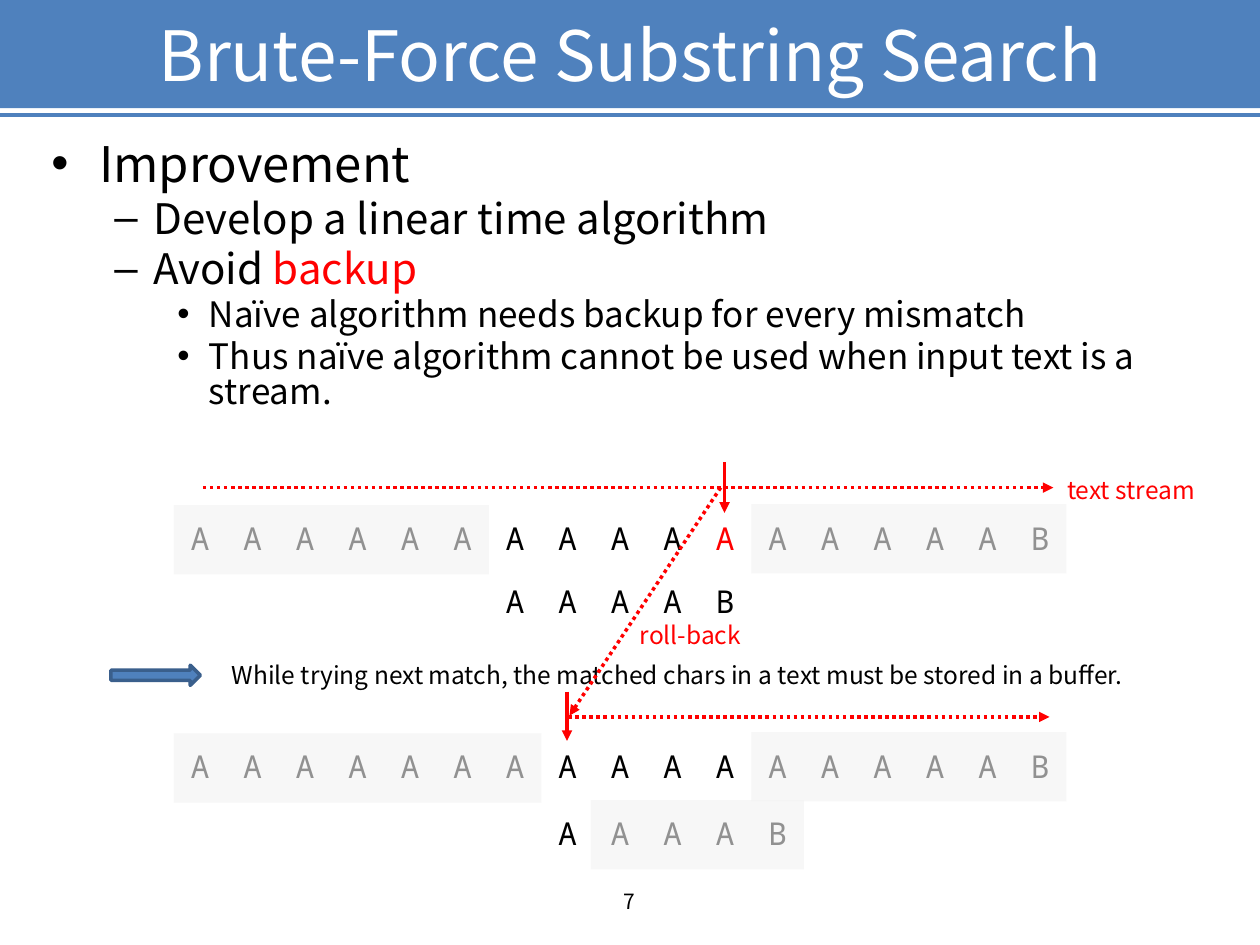
from lxml import etree
from pptx import Presentation
from pptx.dml.color import RGBColor
from pptx.enum.dml import MSO_LINE
from pptx.enum.shapes import MSO_CONNECTOR, MSO_SHAPE
from pptx.enum.text import MSO_ANCHOR, PP_ALIGN
from pptx.oxml.ns import qn
from pptx.util import Inches, Pt

BLUE = RGBColor(0x4F, 0x81, 0xBD)
DARK_BLUE = RGBColor(0x3A, 0x5F, 0x8C)
WHITE = RGBColor(0xFF, 0xFF, 0xFF)
BLACK = RGBColor(0, 0, 0)
RED = RGBColor(0xFF, 0, 0)
PALE_GRAY = RGBColor(0xF2, 0xF2, 0xF2)

SANS = "Noto Sans CJK KR"
MONO = "Noto Sans Mono"
CENTER, LEFT = PP_ALIGN.CENTER, PP_ALIGN.LEFT
TOP, MIDDLE = MSO_ANCHOR.TOP, MSO_ANCHOR.MIDDLE
DOTTED = MSO_LINE.ROUND_DOT
STRAIGHT = MSO_CONNECTOR.STRAIGHT
RECTANGLE, RIGHT_ARROW = MSO_SHAPE.RECTANGLE, MSO_SHAPE.RIGHT_ARROW

CELL_WIDTH = 2.5 / 6
CELL_HEIGHT = 0.38
SHADE_HEIGHT = 0.55
GRID_LEFT = 1.38
TEXT_STREAM = "A" * 16 + "B"
PATTERN = "AAAAB"

LEVELS = [
    (28, 0.38, 0.38, "•"),
    (24, 0.81, 0.31, "–"),
    (20, 1.25, 0.25, "•"),
]
BODY = [
    (0, [("Improvement", BLACK)]),
    (1, [("Develop a linear time algorithm", BLACK)]),
    (1, [("Avoid ", BLACK), ("backup", RED)]),
    (2, [("Naïve algorithm needs backup for every mismatch", BLACK)]),
    (2, [("Thus naïve algorithm cannot be used when input text is a stream.", BLACK)]),
]


def add_run(paragraph, text, size, color, font=SANS):
    run = paragraph.add_run()
    run.text = text
    run.font.size = Pt(size)
    run.font.color.rgb = color
    run.font.name = font
    properties = run.font._element
    for tag in ("a:ea", "a:cs"):
        etree.SubElement(properties, qn(tag), typeface=font)


def add_label(shapes, box, text, size, color, font=SANS, align=LEFT, anchor=TOP, wrap=True):
    label = shapes.add_textbox(*map(Inches, box))
    frame = label.text_frame
    frame.word_wrap = wrap
    frame.vertical_anchor = anchor
    paragraph = frame.paragraphs[0]
    paragraph.alignment = align
    add_run(paragraph, text, size, color, font)


def add_block(shapes, kind, box, fill, outline=None, opacity=None):
    block = shapes.add_shape(kind, *map(Inches, box))
    block.shadow.inherit = False
    block.fill.solid()
    block.fill.fore_color.rgb = fill
    if outline:
        block.line.color.rgb = outline
        block.line.width = Pt(2)
    else:
        block.line.fill.background()
    if opacity:
        tint = block._element.spPr.find(qn("a:solidFill"))[0]
        etree.SubElement(tint, qn("a:alpha"), val=str(opacity * 1000))


def add_line(shapes, start, end, color, width, dash=None, arrow=False):
    line = shapes.add_connector(STRAIGHT, *map(Inches, (*start, *end)))
    line.line.color.rgb = color
    line.line.width = Pt(width)
    if dash:
        line.line.dash_style = dash
    if arrow:
        etree.SubElement(line.line._get_or_add_ln(), qn("a:tailEnd"), type="triangle")
    etree.SubElement(line._element.spPr, qn("a:effectLst"))


def add_red_arrow(shapes, start, end, dash=None):
    add_line(shapes, start, end, RED, 2, dash, arrow=True)


def add_header(slide, left, top, width, height):
    add_block(slide.shapes, RECTANGLE, (left, top, width, height), BLUE)
    rule = top + height + 0.05
    add_line(slide.shapes, (left, rule), (left + width, rule), BLUE, 2.25)
    title_box = (left + 0.31, top + 0.08, width - 0.62, height - 0.16)
    add_label(slide.shapes, title_box, "Brute-Force Substring Search", 39.6, WHITE,
              align=CENTER, anchor=MIDDLE)


def add_body(slide, left, top, width, height):
    frame = slide.shapes.add_textbox(*map(Inches, (left, top, width, height))).text_frame
    frame.word_wrap = True
    for index, (level, runs) in enumerate(BODY):
        paragraph = frame.add_paragraph() if index else frame.paragraphs[0]
        size, margin, hanging, bullet = LEVELS[level]
        paragraph.level = level
        paragraph.line_spacing = 0.83
        paragraph.space_before = Pt(size * 0.2)
        properties = paragraph._p.get_or_add_pPr()
        properties.set("marL", str(Inches(margin)))
        properties.set("indent", str(-Inches(hanging)))
        etree.SubElement(properties, qn("a:buFont"), typeface="Arial")
        etree.SubElement(properties, qn("a:buChar"), char=bullet)
        for text, color in runs:
            add_run(paragraph, text, size, color)


def add_letters(shapes, letters, top, first=0, mismatch=None):
    for column, letter in enumerate(letters, first):
        box = (GRID_LEFT + column * CELL_WIDTH, top, CELL_WIDTH, CELL_HEIGHT)
        color = RED if column == mismatch else BLACK
        add_label(shapes, box, letter, 18, color, MONO, CENTER)


def add_shade(shapes, left, top, width):
    add_block(shapes, RECTANGLE, (left, top, width, SHADE_HEIGHT), PALE_GRAY, opacity=60)


def add_match(slide, top, pattern_top, shift, passed, mismatch=None):
    shapes = slide.shapes.add_group_shape().shapes
    add_letters(shapes, TEXT_STREAM, top, mismatch=mismatch)
    add_letters(shapes, PATTERN, pattern_top, shift)
    add_shade(shapes, GRID_LEFT, top - 0.06, passed * CELL_WIDTH)
    add_shade(shapes, GRID_LEFT + 11 * CELL_WIDTH, top - 0.07, 6 * CELL_WIDTH)


def add_note(slide, left, top):
    add_block(slide.shapes, RIGHT_ARROW, (left, top + 0.09, 0.71, 0.16), BLUE, DARK_BLUE)
    add_label(slide.shapes, (left + 0.86, top, 7.64, 0.34),
              "While trying next match, the matched chars in a text must be stored in a buffer.",
              14, BLACK, wrap=False)


def add_stream_arrows(slide):
    shapes = slide.shapes
    add_red_arrow(shapes, (5.75, 3.67), (5.75, 4.07))
    add_red_arrow(shapes, (4.5, 5.49), (4.5, 5.88))
    add_red_arrow(shapes, (5.72, 3.87), (4.52, 5.68), DOTTED)
    add_red_arrow(shapes, (1.61, 3.87), (8.36, 3.87), DOTTED)
    add_red_arrow(shapes, (4.51, 5.69), (8.33, 5.69), DOTTED)
    add_label(shapes, (8.37, 3.72, 1.22, 0.34), "text stream", 14, RED, wrap=False)
    add_label(shapes, (4.98, 4.87, 1.04, 0.34), "roll-back", 14, RED, wrap=False)


def main():
    presentation = Presentation()
    presentation.slide_width = Inches(10)
    presentation.slide_height = Inches(7.5)
    slide = presentation.slides.add_slide(presentation.slide_layouts[6])
    add_header(slide, 0, 0, 10, 0.86)
    add_body(slide, 0.31, 1.09, 9.38, 5.78)
    add_label(slide.shapes, (3.83, 6.95, 2.33, 0.4), "7", 12, BLACK,
              align=CENTER, anchor=MIDDLE)
    add_match(slide, 4.07, 4.57, shift=6, passed=6, mismatch=10)
    add_match(slide, 5.88, 6.41, shift=7, passed=7)
    add_shade(slide.shapes, 4.69, 6.35, 1.69)
    add_note(slide, 0.88, 5.19)
    add_stream_arrows(slide)
    presentation.save("out.pptx")


if __name__ == "__main__":
    main()
